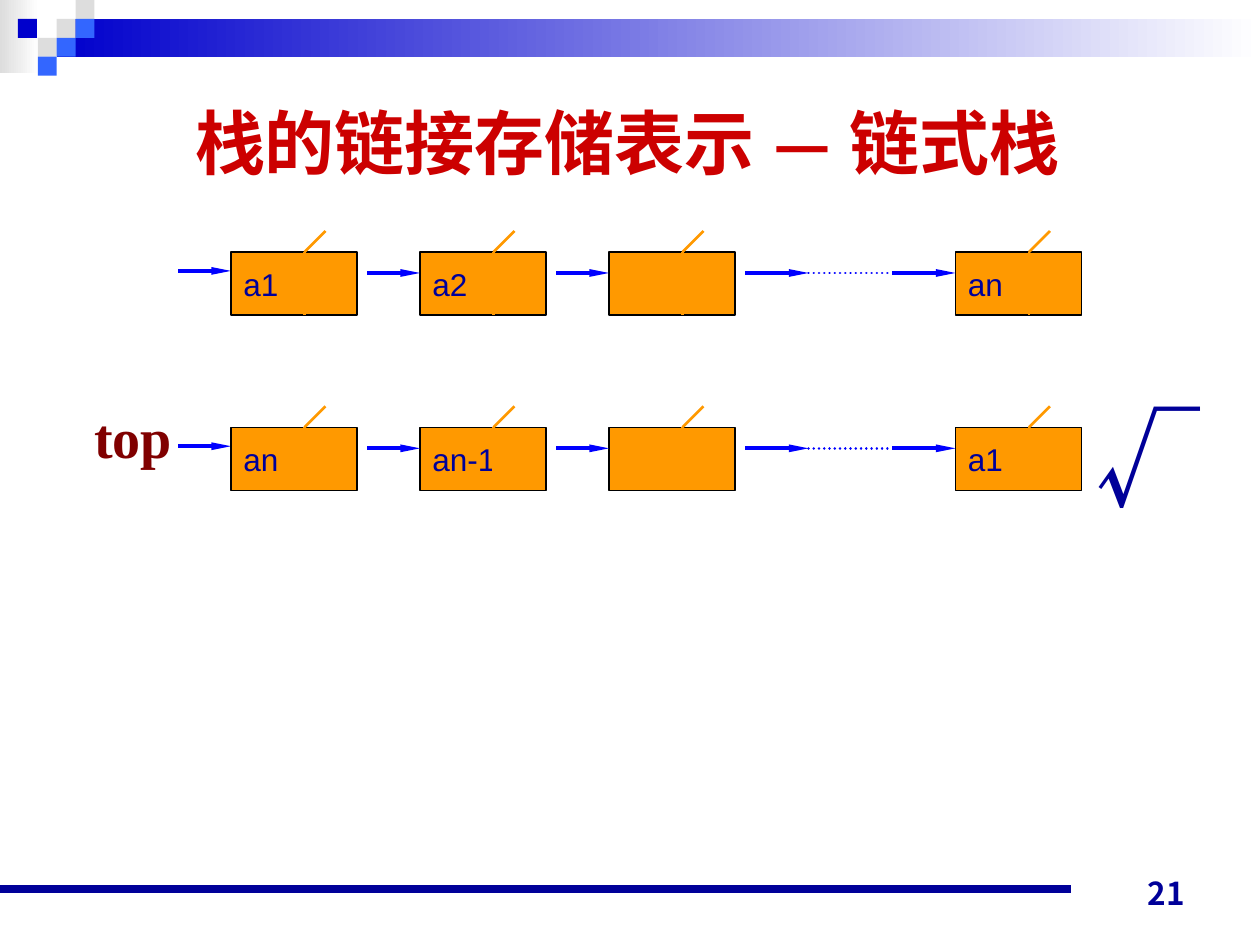
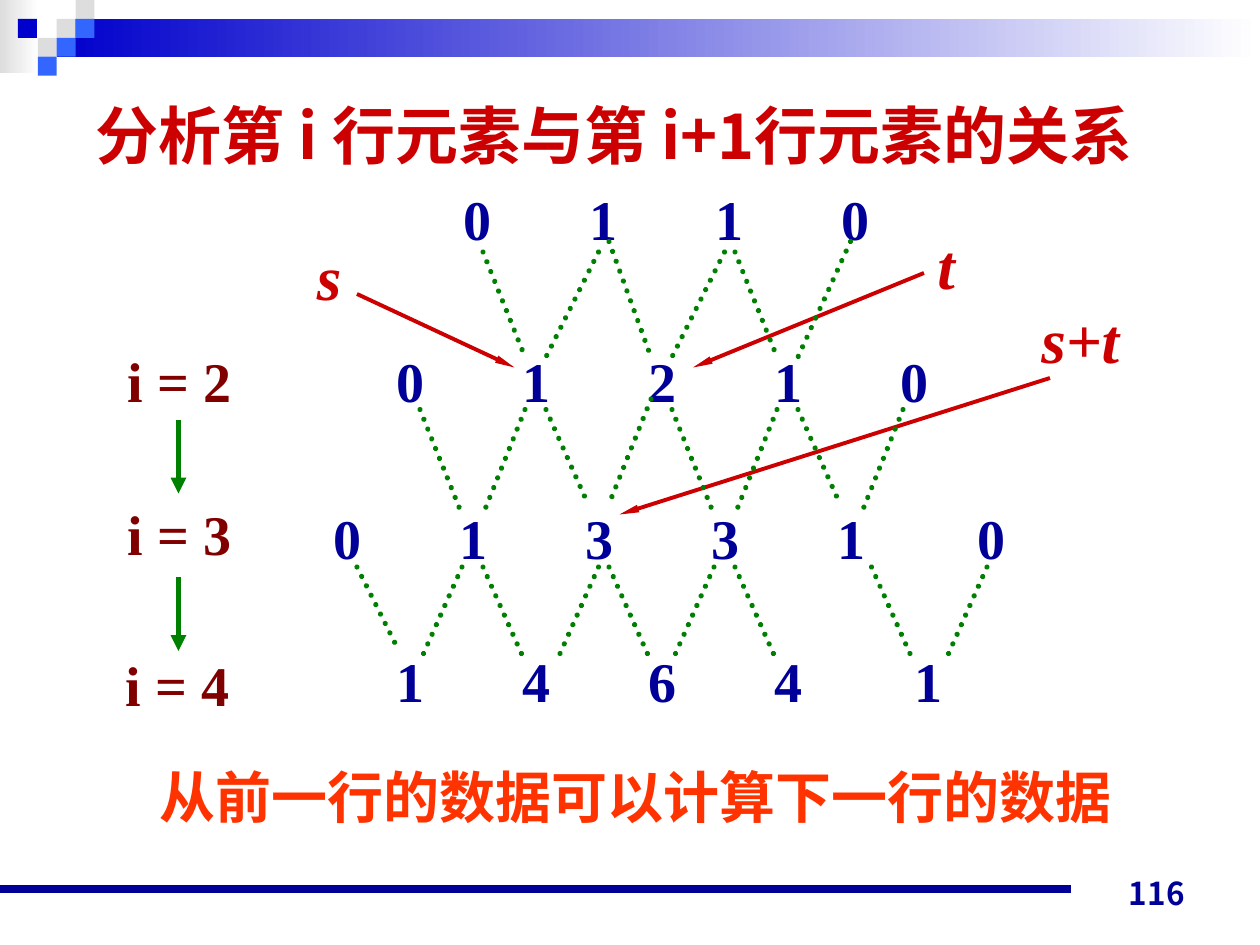
from lxml import etree
from pptx import Presentation, util as u
from pptx.dml.color import RGBColor
from pptx.enum import dml, shapes, text
from pptx.oxml import ns

COLORS = {
    "navy": "000099", "band": "0000CC", "sky": "3366FF", "grey": "DDDDDD",
    "white": "FFFFFF", "title": "CC0000", "maroon": "800000", "note": "FF3300",
    "arrow": "0000FF", "node": "FF9900", "black": "000000", "green": "008000",
}
RGB = {name: RGBColor.from_string(value) for name, value in COLORS.items()}
CJK, SERIF, SANS = "Noto Sans CJK JP", "Times New Roman", "Arial"

presentation = Presentation()
presentation.slide_width, presentation.slide_height = u.Inches(10), u.Inches(7.5)
COLUMN = presentation.slide_width / 120
ROW = presentation.slide_height / 90


def add_box(slide, at, content="", font=CJK, size=32, color="navy", bold=True,
            fill=None, wrap=True, east_asian=CJK):
    """Place text, on a filled rectangle if fill is given; at is in columns and rows."""
    place = [u.Emu(round(value * unit)) for value, unit in zip(at, (COLUMN, ROW) * 2)]
    if fill:
        shape = slide.shapes.add_shape(shapes.MSO_SHAPE.RECTANGLE, *place)
        shape.shadow.inherit = False
        shape.fill.solid()
        shape.fill.fore_color.rgb = RGB[fill]
        shape.line.fill.background()
    else:
        shape = slide.shapes.add_textbox(*place)
    frame = shape.text_frame
    frame.word_wrap = wrap
    if not wrap:
        frame.auto_size = text.MSO_AUTO_SIZE.SHAPE_TO_FIT_TEXT
    if fill and not content:
        return shape
    paragraph = frame.paragraphs[0]
    paragraph.text = content
    paragraph.alignment = text.PP_ALIGN.LEFT
    paragraph.font.name, paragraph.font.size = font, u.Pt(size)
    paragraph.font.bold, paragraph.font.color.rgb = bold, RGB[color]
    defaults = paragraph._p.pPr.find(ns.qn("a:defRPr"))
    etree.SubElement(defaults, ns.qn("a:ea"), typeface=east_asian)
    return shape


def add_line(slide, start, end, color, width, head=None, dotted=False):
    """Draw a straight line; head is the (width, length) of an arrowhead at its end."""
    line = slide.shapes.add_connector(
        shapes.MSO_CONNECTOR.STRAIGHT,
        *[u.Emu(round(value * unit)) for value, unit in zip((*start, *end), (COLUMN, ROW) * 2)])
    line.line.color.rgb, line.line.width = RGB[color], u.Pt(width)
    if dotted:
        line.line.dash_style = dml.MSO_LINE.ROUND_DOT
        line.line._ln.set("cap", "rnd")
    if head:
        etree.SubElement(line.line._ln, ns.qn("a:tailEnd"), type="triangle", w=head[0], len=head[1])
    etree.SubElement(line._element.spPr, ns.qn("a:effectLst"))


SLIM, MEDIUM = ("sm", "lg"), ("med", "med")

# Shared header, rule and slide number
TILE = 1.8
tiles = [(3, 1, "grey"), (4, 0, "grey"), (4, 1, "sky"), (2, 2, "grey"),
         (0.95, 1, "band"), (3, 2, "sky"), (2, 3, "sky")]
slides = []
for number in ("21", "116"):
    slide = presentation.slides.add_slide(presentation.slide_layouts[6])
    slides.append(slide)
    for at, color in (((0, 0, 3.7, 7), "grey"), ((5.4, 1.8, 114.6, 3.6), "band")):
        fade = add_box(slide, at, fill=color).fill
        fade.gradient()
        fade.gradient_angle = 0
        for stop, stop_color in zip(fade.gradient_stops, (color, "white")):
            stop.color.rgb = RGB[stop_color]
    for column, row, color in tiles:
        add_box(slide, (column * TILE, row * TILE, TILE, TILE), fill=color)
    add_line(slide, (0, 84.7), (102, 84.7), "navy", 4.5)
    footer = add_box(slide, (86, 81.4, 28, 6), number, size=18)
    footer.text_frame.vertical_anchor = text.MSO_ANCHOR.BOTTOM
    footer.text_frame.paragraphs[0].alignment = text.PP_ALIGN.RIGHT
stack_slide, triangle_slide = slides

# Linked stack
title = add_box(stack_slide, (17.4, 8.5, 89.3, 10), size=40, color="title")
title.text_frame.vertical_anchor = text.MSO_ANCHOR.MIDDLE
for words, font in (("栈的链接存储表示 ", CJK), ("— ", "Calibri"), ("链式栈", CJK)):
    run = title.text_frame.paragraphs[0].add_run()
    run.text, run.font.name = words, font
    etree.SubElement(run._r.rPr, ns.qn("a:ea"), typeface=font)

NODE_WIDTH, NODE_HEIGHT, DIVIDER = 12, 6, 7
node_columns = (22, 40, 58, 91)
links = [(35, 40), (53, 58), (71, 77), (85, 91)]
for top, labels in ((24, ("a1", "a2", "", "an")), (40.7, ("an", "an-1", "", "a1"))):
    add_line(stack_slide, (17, top + 1.8), (22, top + 1.8), "arrow", 2.25, SLIM)
    for left, label in zip(node_columns, labels):
        node = add_box(stack_slide, (left, top, NODE_WIDTH, NODE_HEIGHT), label,
                       SANS, 18, bold=False, fill="node")
        node.line.color.rgb, node.line.width = RGB["black"], u.Pt(0.75)
        divider = (left + DIVIDER, top)
        add_line(stack_slide, divider, (left + DIVIDER, top + NODE_HEIGHT), "node", 1.5)
        add_line(stack_slide, divider, (left + DIVIDER + 2, top - 2), "node", 1.5)
    for start, end in links:
        add_line(stack_slide, (start, top + 2), (end, top + 2), "arrow", 2.25, SLIM)
    add_line(stack_slide, (77, top + 2), (85, top + 2), "arrow", 1.5, dotted=True)
add_box(stack_slide, (7.8, 37.7, 9.8, 7.7), "top", SERIF, color="maroon", wrap=False)
add_box(stack_slide, (103.2, 37, 14.9, 13.2), "√", "Noto Sans CJK SC", 60, bold=False,
        east_asian="Noto Sans CJK SC")

# Triangle of sums
add_box(triangle_slide, (7.9, 8.6, 107, 8.4), "分析第 i 行元素与第 i+1行元素的关系",
        size=36, color="title", wrap=False)
add_box(triangle_slide, (14, 72, 96, 7.7), "从前一行的数据可以计算下一行的数据", SERIF, color="note")
for index, (left, top) in enumerate(((11, 32.4), (11, 47), (10.8, 61.4)), 2):
    add_box(triangle_slide, (left, top, 12.3, 7.7), f"i = {index}", SERIF,
            color="maroon", wrap=False)
for top in (40, 55):
    add_line(triangle_slide, (17, top), (17, top + 7), "green", 3, MEDIUM)

# Digits stand one inch apart; the last gap may be wider
digit_rows = [(43, 17, "0110", 1), (36.6, 32.4, "01210", 1),
              (30.6, 47.4, "013310", 1.11), (36.6, 61, "14641", 1.11)]
for left, top, digits, last_gap in digit_rows:
    stops = [*range(1, len(digits) - 1), len(digits) - 2 + last_gap]
    row_box = add_box(triangle_slide, (left, top, stops[-1] * 12 + 6, 7.7),
                      "\t".join(digits), SERIF)
    tab_list = etree.Element(ns.qn("a:tabLst"))
    for stop in stops:
        etree.SubElement(tab_list, ns.qn("a:tab"), pos=str(u.Inches(stop)), algn="l")
    row_box.text_frame.paragraphs[0]._p.pPr.insert(0, tab_list)

pointers = [("s", (29, 22, 4.7, 8.4), (34, 28), (49, 35)),
            ("t", (88.1, 21, 4.1, 8.4), (88, 26), (66, 35)),
            ("s+t", (98, 28, 9.8, 8.4), (100, 36), (59, 49))]
for name, at, start, end in pointers:
    add_line(triangle_slide, start, end, "title", 2.25, SLIM)
    label = add_box(triangle_slide, at, name, SERIF, 36, "title", wrap=False)
    label.text_frame.paragraphs[0].font.italic = True

# Each tier: top, bottom, then (start, end) columns with optional shifts of top and bottom
tiers = [
    (24, 34, [(46, 50), (58, 62, -1, 0), (70, 74), (57, 52), (69, 64), (81, 76, -1, 0)]),
    (39, 49, [(40, 44), (52, 56, 0, -1), (64, 68), (76, 80, 0, -1),
              (50, 46), (62, 58, -1, -1), (74, 70), (86, 82)]),
    (54, 63, [(34, 38, 0, -1), (46, 50), (58, 62), (70, 74), (83, 87),
              (44, 40), (57, 53), (68, 64), (94, 90)]),
]
for top, bottom, strokes in tiers:
    for start, end, *shifts in strokes:
        rise, drop = shifts or (0, 0)
        add_line(triangle_slide, (start, top + rise), (end, bottom + drop),
                 "green", 3, dotted=True)

presentation.save("out.pptx")
